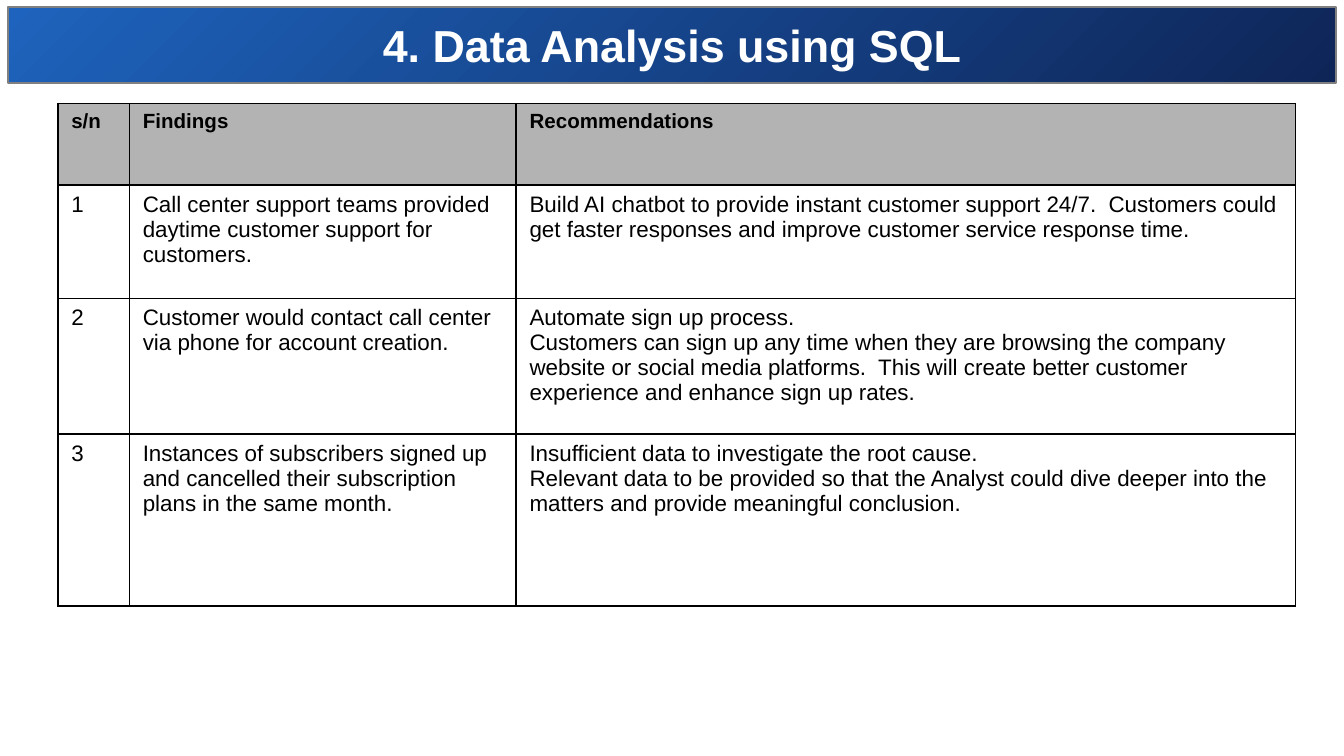
from typing import NamedTuple

from lxml import etree
from pptx import Presentation
from pptx.dml.color import RGBColor
from pptx.enum.shapes import MSO_SHAPE
from pptx.enum.text import MSO_ANCHOR, PP_ALIGN
from pptx.oxml.ns import qn
from pptx.util import Pt

RECTANGLE = MSO_SHAPE.RECTANGLE
MIDDLE = MSO_ANCHOR.MIDDLE
CENTER = PP_ALIGN.CENTER

WHITE = RGBColor(0xFF, 0xFF, 0xFF)
BLACK = RGBColor(0, 0, 0)
GRAY = RGBColor(0x80, 0x80, 0x80)
HEADER_GRAY = RGBColor(0xB3, 0xB3, 0xB3)
BLUE = RGBColor(0x1E, 0x63, 0xBD)
NAVY = RGBColor(0x0E, 0x25, 0x57)
FONT = "Arial"


class Row(NamedTuple):
    height: float
    texts: tuple[str, str, str]
    header: bool = False


COLUMN_WIDTHS = (38.3, 207.2, 417.6)
ROWS = (
    Row(43.7, ("s/n", "Findings", "Recommendations"), True),
    Row(60.8, (
        "1",
        "Call center support teams provided daytime customer support for customers.",
        "Build AI chatbot to provide instant customer support 24/7.  Customers could "
        "get faster responses and improve customer service response time.",
    )),
    Row(72.8, (
        "2",
        "Customer would contact call center via phone for account creation.",
        "Automate sign up process.\n"
        "Customers can sign up any time when they are browsing the company website "
        "or social media platforms.  This will create better customer experience "
        "and enhance sign up rates.",
    )),
    Row(92, (
        "3",
        "Instances of subscribers signed up and cancelled their subscription plans "
        "in the same month.",
        "Insufficient data to investigate the root cause.\n"
        "Relevant data to be provided so that the Analyst could dive deeper into the "
        "matters and provide meaningful conclusion.",
    )),
)


def format_text(tf, size: float, color: RGBColor, bold: bool) -> None:
    for p in tf.paragraphs:
        for r in p.runs:
            r.font.name = FONT
            r.font.size = Pt(size)
            r.font.bold = bold
            r.font.color.rgb = color


def add_banner(s, text: str) -> None:
    sp = s.shapes.add_shape(RECTANGLE, Pt(4.3), Pt(3.6), Pt(711.4), Pt(41))
    sp.shadow.inherit = False
    sp.fill.gradient()
    sp.fill.gradient_angle = 315
    for stop, color in zip(sp.fill.gradient_stops, (BLUE, NAVY)):
        stop.color.rgb = color
    sp.line.color.rgb = GRAY
    sp.line.width = Pt(1)
    tf = sp.text_frame
    tf.text = text
    tf.vertical_anchor = MIDDLE
    tf.paragraphs[0].alignment = CENTER
    format_text(tf, 24, WHITE, True)


def add_borders(cell) -> None:
    tcPr = cell._tc.get_or_add_tcPr()
    for side in ("a:lnL", "a:lnR", "a:lnT", "a:lnB"):
        ln = etree.SubElement(tcPr, qn(side), w=str(Pt(1)))
        fill = etree.SubElement(ln, qn("a:solidFill"))
        etree.SubElement(fill, qn("a:srgbClr"), val=str(BLACK))


def fill_cell(cell, text: str, header: bool) -> None:
    add_borders(cell)
    if header:
        cell.fill.solid()
        cell.fill.fore_color.rgb = HEADER_GRAY
    else:
        cell.fill.background()
    cell.text_frame.text = text
    format_text(cell.text_frame, 11 if header else 12, BLACK, header)


def add_findings_table(s, rows: tuple[Row, ...], widths: tuple[float, ...]) -> None:
    height = sum(row.height for row in rows)
    table = s.shapes.add_table(
        len(rows), len(widths), Pt(31), Pt(55.4), Pt(sum(widths)), Pt(height)
    ).table
    table.first_row = False
    table.horz_banding = False
    for column, width in zip(table.columns, widths):
        column.width = Pt(width)
    for table_row, row in zip(table.rows, rows):
        table_row.height = Pt(row.height)
        for cell, text in zip(table_row.cells, row.texts):
            fill_cell(cell, text, row.header)


def main() -> None:
    prs = Presentation()
    prs.slide_width = Pt(720)
    prs.slide_height = Pt(405)
    s = prs.slides.add_slide(prs.slide_layouts[6])
    add_banner(s, "4. Data Analysis using SQL")
    add_findings_table(s, ROWS, COLUMN_WIDTHS)
    prs.save("out.pptx")


if __name__ == "__main__":
    main()
